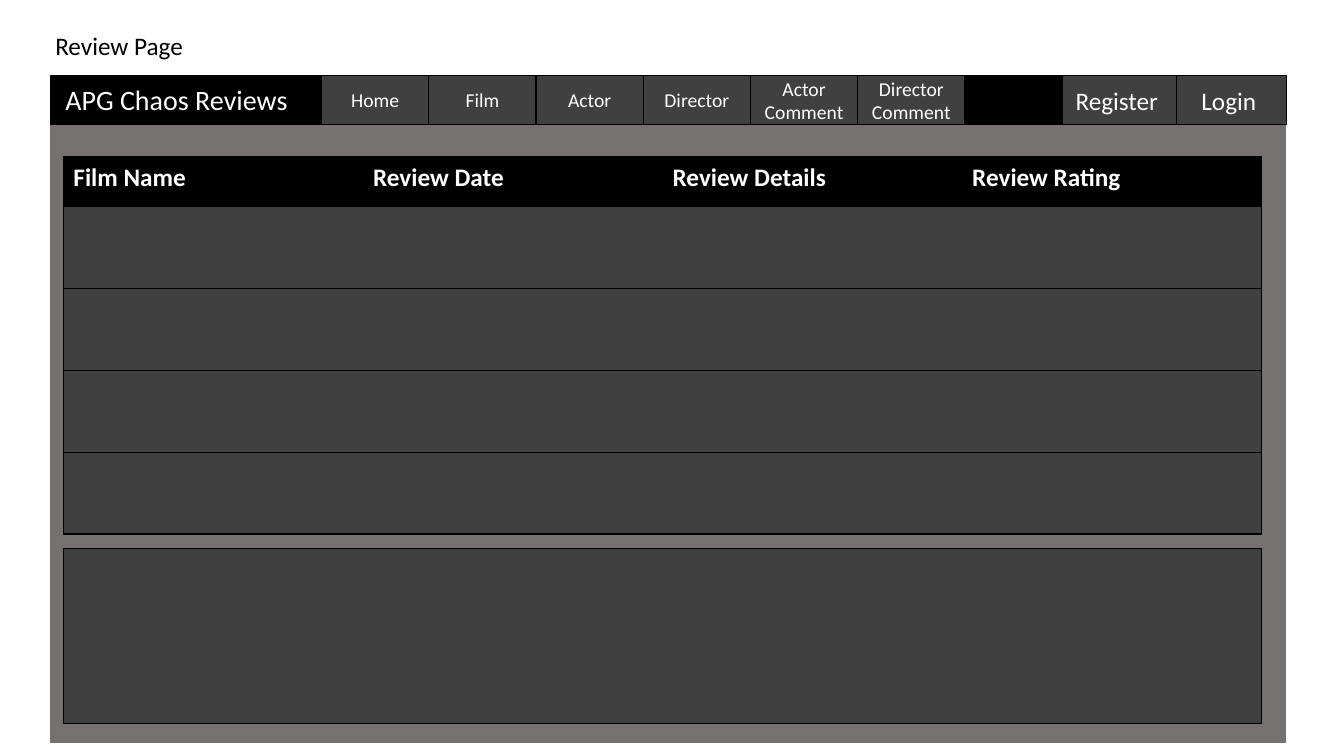
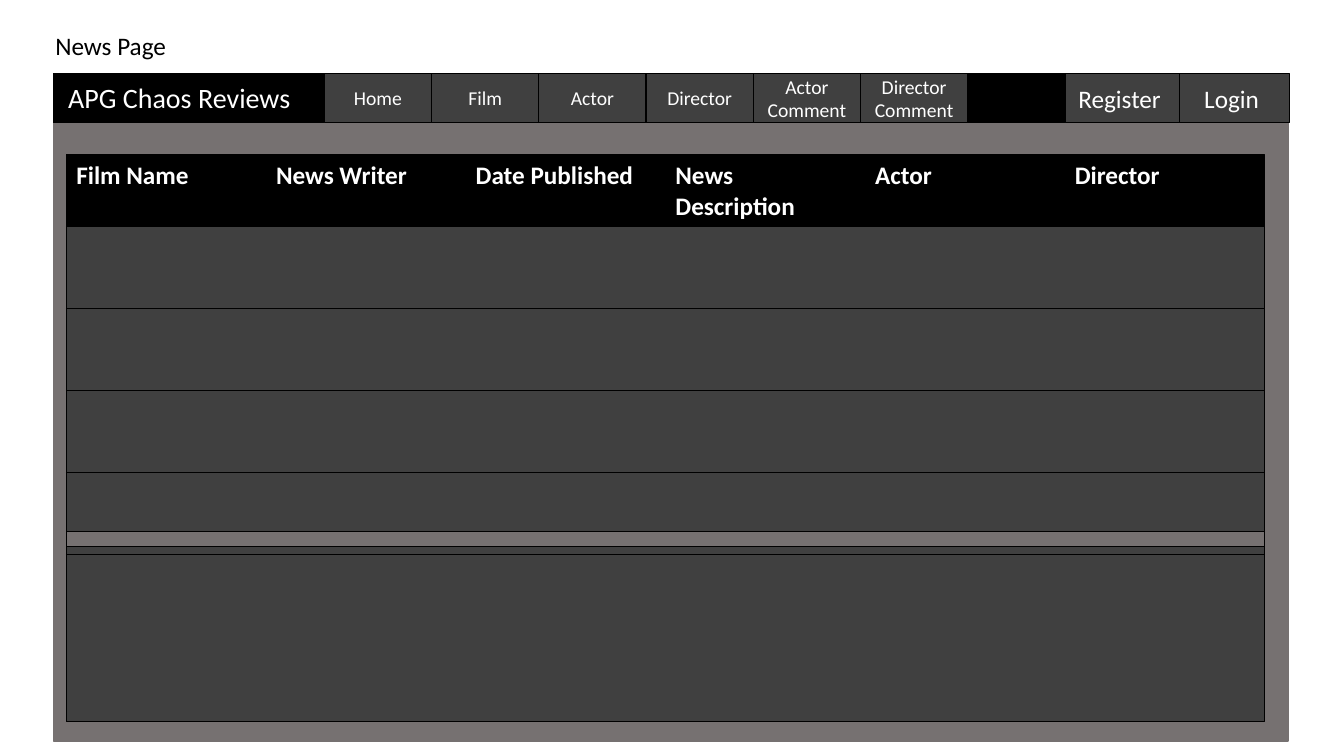
from lxml.etree import SubElement
from pptx import Presentation
from pptx.dml.color import RGBColor
from pptx.enum.shapes import MSO_SHAPE
from pptx.enum.text import MSO_ANCHOR, PP_ALIGN
from pptx.oxml.ns import qn
from pptx.util import Pt

FONT = "Calibri"
BLACK, WHITE, DARK, GREY = "000000", "FFFFFF", "404040", "767171"
PAGE_W, PAGE_H, BAR_H = 882, 476.6, 35
PANEL_W, ROW_H = 856, 58.6
MENU = ["Home", "Film", "Actor", "Director", "Actor Comment", "Director Comment"]
MENU_X, MENU_W = 193.7, 76.6
USER = [("Register ", 723, 81.5), ("Login ", 804.5, 78.5)]
PAGES = [
    ("Review Page", 36, 54,
     ["Film Name", "Review Date", "Review Details", "Review Rating"]),
    ("News Page", 38, 52.6,
     ["Film Name", "News Writer", "Date Published", "News Description",
      "Actor", "Director"]),
]


def color(code):
    return RGBColor.from_string(code)


def style(para, size, code, bold=False):
    font = para.font
    font.name, font.size, font.bold = FONT, Pt(size), bold
    font.color.rgb = color(code)


def panel(slide, x, y, w, h, fill, line=BLACK, width=1):
    rect = slide.shapes.add_shape(
        MSO_SHAPE.RECTANGLE, Pt(x), Pt(y), Pt(w), Pt(h))
    rect.shadow.inherit = False
    rect.fill.solid()
    rect.fill.fore_color.rgb = color(fill)
    rect.line.color.rgb = color(line)
    rect.line.width = Pt(width)
    return rect


def button(slide, x, y, w, text, size):
    frame = panel(slide, x, y, w, BAR_H, DARK).text_frame
    frame.word_wrap = True
    frame.vertical_anchor = MSO_ANCHOR.MIDDLE
    para = frame.paragraphs[0]
    para.text = text
    para.alignment = PP_ALIGN.CENTER
    style(para, size, WHITE)


def label(slide, x, y, w, h, text, size, code):
    frame = slide.shapes.add_textbox(Pt(x), Pt(y), Pt(w), Pt(h)).text_frame
    frame.word_wrap = True
    para = frame.paragraphs[0]
    para.text = text
    style(para, size, code)


def border(cell, sides):
    props = cell._tc.get_or_add_tcPr()
    for side in "LRTB":
        line = SubElement(props, qn("a:ln" + side), w=str(Pt(0.5)))
        if side in sides:
            fill = SubElement(line, qn("a:solidFill"))
            SubElement(fill, qn("a:srgbClr"), val=BLACK)
        else:
            SubElement(line, qn("a:noFill"))


def navbar(slide, x, y):
    panel(slide, x, y, PAGE_W, BAR_H, BLACK)
    for i, text in enumerate(MENU):
        button(slide, x + MENU_X + i * MENU_W, y, MENU_W, text, 14)
    for text, left, width in USER:
        button(slide, x + left, y, width, text, 18)
    label(slide, x + 3.6, y + 1.5, 187, 31.5, "APG Chaos Reviews", 20, WHITE)


def grid(slide, x, y, heads, count=4):
    height = BAR_H + count * ROW_H
    table = slide.shapes.add_table(
        count + 1, len(heads), Pt(x), Pt(y), Pt(PANEL_W), Pt(height)).table
    for col in table.columns:
        col.width = Pt(PANEL_W / len(heads))
    for r, row in enumerate(table.rows):
        row.height = Pt(ROW_H if r else BAR_H)
        for c, cell in enumerate(row.cells):
            left = "L" if c == 0 else ""
            right = "R" if c == len(heads) - 1 else ""
            border(cell, "TB" + left + right)
            para = cell.text_frame.paragraphs[0]
            if r:
                cell.fill.background()
            else:
                cell.fill.solid()
                cell.fill.fore_color.rgb = color(BLACK)
                para.text = heads[c]
            style(para, 18, WHITE, r == 0)


def page(slide, title, x, y, heads):
    panel(slide, x, y, PAGE_W, PAGE_H, GREY, GREY)
    navbar(slide, x, y)
    panel(slide, x + 9.3, y + 337.7, PANEL_W, 125.3, DARK, width=0.75)
    panel(slide, x + 9.3, y + 58, PANEL_W, 269.3, DARK, width=0.75)
    grid(slide, x + 9.3, y + 58.4, heads)
    label(slide, 32.4, 18, 877, 29, title, 18, BLACK)


def main():
    deck = Presentation()
    deck.slide_width, deck.slide_height = Pt(960), Pt(540)
    for title, x, y, heads in PAGES:
        page(deck.slides.add_slide(deck.slide_layouts[6]), title, x, y, heads)
    deck.save("out.pptx")


if __name__ == "__main__":
    main()
